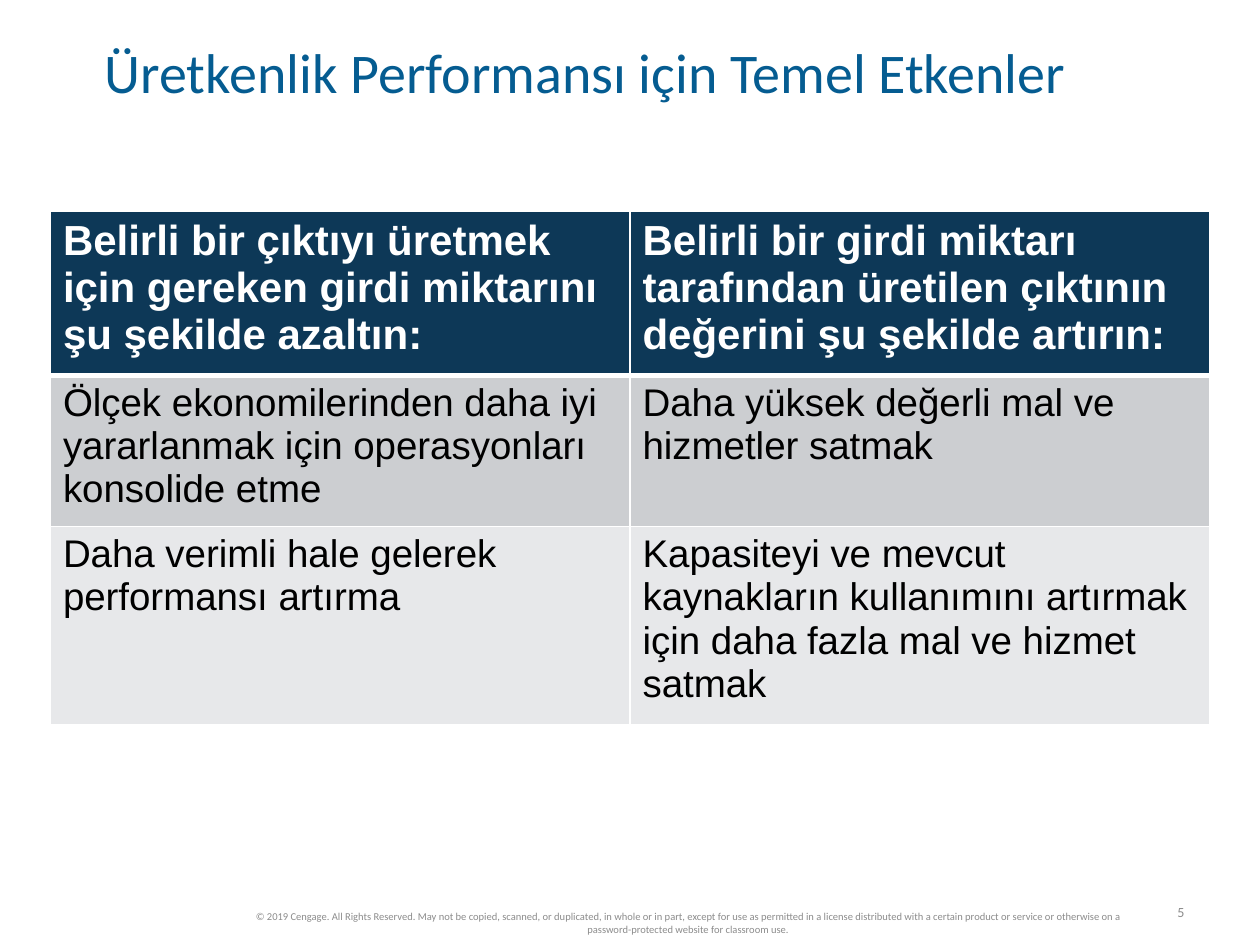
from dataclasses import dataclass

from lxml.etree import SubElement
from pptx import Presentation
from pptx.dml.color import RGBColor
from pptx.enum.text import MSO_ANCHOR, PP_ALIGN
from pptx.oxml.ns import qn
from pptx.util import Inches, Pt


@dataclass(frozen=True)
class Theme:
    title_font: str = "Calibri"
    table_font: str = "Arial"
    title_color: str = "055C91"
    footer_color: str = "8C8C8C"
    header_fill: str = "0D3857"
    header_color: str = "FFFFFF"
    body_color: str = "000000"
    band_fills: tuple = ("CCCED1", "E7E8EA")
    border_color: str = "FFFFFF"
    title_size: int = 32
    header_size: int = 24
    body_size: int = 22
    number_size: int = 8
    copyright_size: int = 6
    border_width: int = 1
    header_border_width: int = 3


THEME = Theme()

ROWS = [
    ("Belirli bir çıktıyı üretmek için gereken girdi miktarını şu şekilde azaltın:",
     "Belirli bir girdi miktarı tarafından üretilen çıktının değerini şu şekilde artırın:"),
    ("Ölçek ekonomilerinden daha iyi yararlanmak için operasyonları konsolide etme",
     "Daha yüksek değerli mal ve hizmetler satmak"),
    ("Daha verimli hale gelerek performansı artırma",
     "Kapasiteyi ve mevcut kaynakların kullanımını artırmak için daha fazla mal ve hizmet satmak"),
]
ROW_HEIGHTS = (1.29, 1.2, 1.57)
COPYRIGHT = (
    "© 2019 Cengage. All Rights Reserved. May not be copied, scanned, or duplicated, "
    "in whole or in part, except for use as permitted in a license distributed with a "
    "certain product or service or otherwise on a password-protected website for classroom use."
)


def style_text(text_frame, font_name, size, color, bold=False):
    for paragraph in text_frame.paragraphs:
        for run in paragraph.runs:
            run.font.name = font_name
            run.font.size = Pt(size)
            run.font.bold = bold
            run.font.color.rgb = RGBColor.from_string(color)


def add_text(slide, text, box, size, color, align=PP_ALIGN.LEFT, wrap=True):
    shape = slide.shapes.add_textbox(*(Inches(value) for value in box))
    text_frame = shape.text_frame
    text_frame.word_wrap = wrap
    text_frame.vertical_anchor = MSO_ANCHOR.MIDDLE
    text_frame.text = text
    text_frame.paragraphs[0].alignment = align
    style_text(text_frame, THEME.title_font, size, color)
    return text_frame


def add_title(slide, text):
    text_frame = add_text(slide, text, (0.83, 0.38, 8.78, 0.46),
                          THEME.title_size, THEME.title_color)
    text_frame.margin_left = text_frame.margin_right = 0
    text_frame.margin_top = text_frame.margin_bottom = 0
    text_frame.paragraphs[0].line_spacing = 0.85


def set_borders(cell, widths):
    properties = cell._tc.get_or_add_tcPr()
    for side, width in widths.items():
        line = SubElement(properties, qn(f"a:ln{side}"), w=str(Pt(width)))
        fill = SubElement(line, qn("a:solidFill"))
        SubElement(fill, qn("a:srgbClr"), val=THEME.border_color)


def format_cell(cell, text, row_index):
    is_header = row_index == 0
    cell.text = text
    # Borders precede the fill in the cell properties
    widths = dict.fromkeys("LRTB", THEME.border_width)
    if is_header:
        widths["B"] = THEME.header_border_width
    elif row_index == 1:
        widths["T"] = THEME.header_border_width
    set_borders(cell, widths)
    band = THEME.band_fills[(row_index - 1) % len(THEME.band_fills)]
    cell.fill.solid()
    cell.fill.fore_color.rgb = RGBColor.from_string(THEME.header_fill if is_header else band)
    style_text(
        cell.text_frame,
        THEME.table_font,
        THEME.header_size if is_header else THEME.body_size,
        THEME.header_color if is_header else THEME.body_color,
        bold=is_header,
    )


def add_factor_table(slide):
    shape = slide.shapes.add_table(len(ROWS), len(ROWS[0]), Inches(0.4), Inches(1.68),
                                   Inches(9.2), Inches(sum(ROW_HEIGHTS)))
    table = shape.table
    for row_index, (texts, height) in enumerate(zip(ROWS, ROW_HEIGHTS)):
        table.rows[row_index].height = Inches(height)
        for column_index, text in enumerate(texts):
            format_cell(table.cell(row_index, column_index), text, row_index)


def main():
    presentation = Presentation()
    presentation.slide_width = Inches(10)
    presentation.slide_height = Inches(7.5)
    slide = presentation.slides.add_slide(presentation.slide_layouts[6])

    # Slide number
    add_text(slide, "5", (9.16, 7.12, 0.34, 0.24), THEME.number_size,
             THEME.footer_color, PP_ALIGN.RIGHT, wrap=False)
    # Main content
    add_factor_table(slide)
    add_title(slide, "Üretkenlik Performansı için Temel Etkenler")
    # Copyright line
    add_text(slide, COPYRIGHT, (1.75, 7.19, 7.42, 0.27), THEME.copyright_size,
             THEME.footer_color, PP_ALIGN.CENTER)

    presentation.save("out.pptx")


if __name__ == "__main__":
    main()
